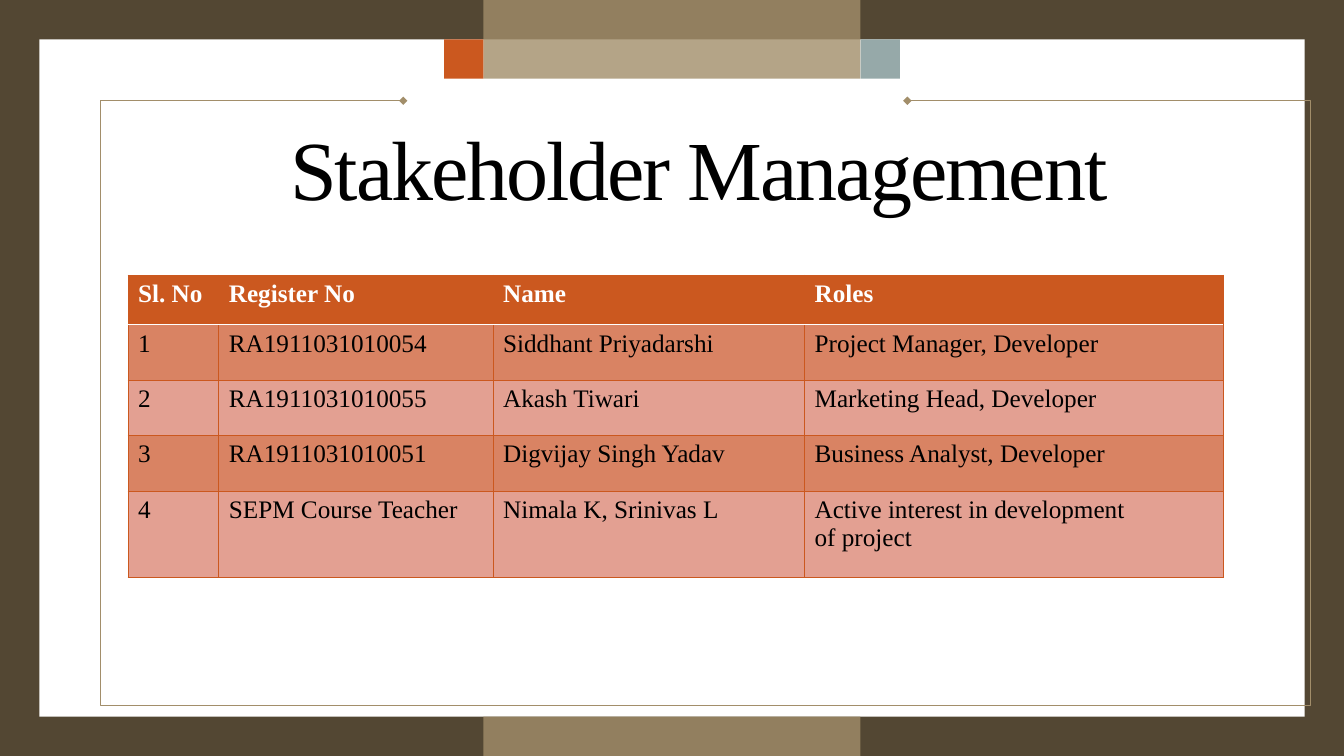
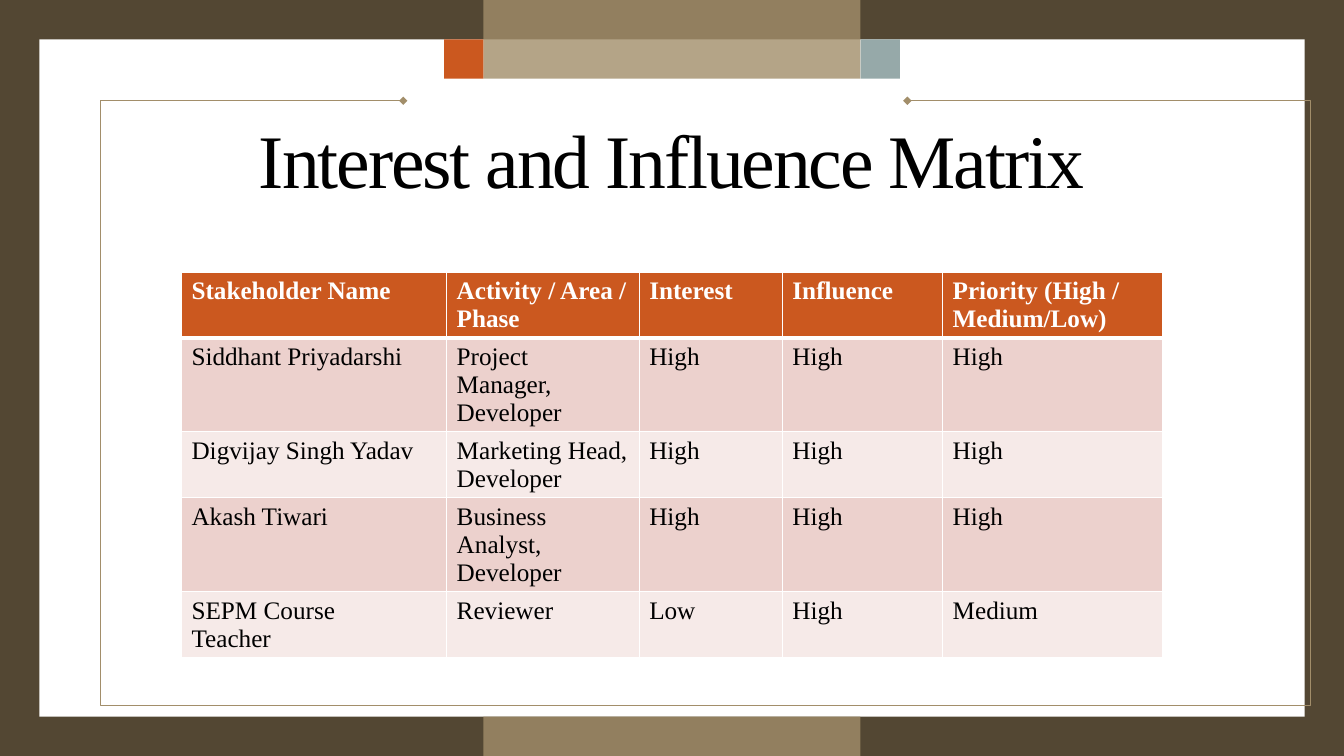
from dataclasses import dataclass

from lxml import etree
from pptx import Presentation
from pptx import util as u
from pptx.dml.color import RGBColor
from pptx.enum import shapes, text
from pptx.oxml import ns


@dataclass(frozen=True)
class Theme:
    font: str = "Times New Roman"
    text_size: float = 18
    title_spacing: int = -150
    brown: str = "534733"
    tan: str = "A28E6A"
    orange: str = "CB581F"
    sage: str = "96A9A9"
    white: str = "FFFFFF"
    black: str = "000000"


@dataclass(frozen=True)
class Box:
    left: float
    top: float
    width: float
    height: float

    @property
    def right(self):
        return self.left + self.width

    @property
    def bottom(self):
        return self.top + self.height

    def inset(self, gap):
        return Box(self.left + gap, self.top + gap, self.width - 2 * gap, self.height - 2 * gap)

    def emu(self):
        return [u.Inches(n) for n in (self.left, self.top, self.width, self.height)]


@dataclass(frozen=True)
class TableStyle:
    bands: tuple
    border: str
    border_width: float
    rule_width: float  # white rule under the header


THEME = Theme()
PAGE = Box(0, 0, 13.33, 7.5)
UNIT = 0.39  # margin and square size of the frame
BAND_WIDTH = 3.74

SOLID_BANDS = TableStyle(("D98363", "E3A092"), THEME.orange, 0.5, 1)
PALE_BANDS = TableStyle(("ECD1CD", "F6EAE8"), THEME.white, 1, 3)


def rgb(color):
    return RGBColor.from_string(color)


def set_font(para, size, color, bold=False):
    para.font.name = THEME.font
    para.font.size = u.Pt(size)
    para.font.color.rgb = rgb(color)
    para.font.bold = bold


def add_block(page, box, color, opacity=100):
    block = page.shapes.add_shape(shapes.MSO_SHAPE.RECTANGLE, *box.emu())
    block.shadow.inherit = False
    block.fill.solid()
    block.fill.fore_color.rgb = rgb(color)
    block.line.fill.background()
    if opacity < 100:
        fill_color = block.element.spPr.find(".//" + ns.qn("a:srgbClr"))
        etree.SubElement(fill_color, ns.qn("a:alpha"), val=str(opacity * 1000))
    return block


def add_outline(page, box, gap_left, gap_right):
    """Draw a thin frame, open at the top between two diamond ends."""
    builder = page.shapes.build_freeform(gap_right, box.top, scale=u.Inches(1))
    corners = [(box.right, box.top), (box.right, box.bottom), (box.left, box.bottom),
               (box.left, box.top), (gap_left, box.top)]
    builder.add_line_segments(corners, close=False)
    outline = builder.convert_to_shape()
    outline.shadow.inherit = False
    outline.fill.background()
    outline.line.color.rgb = rgb(THEME.tan)
    outline.line.width = u.Pt(1)
    line = outline.element.spPr.find(ns.qn("a:ln"))
    for end in ("a:headEnd", "a:tailEnd"):
        etree.SubElement(line, ns.qn(end), type="diamond")
    return outline


def style_master(master, page):
    """Draw the shared frame on page and move it to the master."""
    master.background.fill.solid()
    master.background.fill.fore_color.rgb = rgb(THEME.brown)
    title_style = master.element.find(".//" + ns.qn("p:titleStyle"))
    title_style.find(".//" + ns.qn("a:defRPr")).set("spc", str(THEME.title_spacing))

    paper = PAGE.inset(UNIT)
    band = Box((PAGE.width - BAND_WIDTH) / 2, 0, BAND_WIDTH, 2 * UNIT)
    frame = [
        add_block(page, paper, THEME.white),
        add_outline(page, paper.inset(UNIT), band.left - 2 * UNIT, band.right + 2 * UNIT),
        add_block(page, band, THEME.tan, 80),
        add_block(page, Box(band.left - UNIT, UNIT, UNIT, UNIT), THEME.orange),
        add_block(page, Box(band.right, UNIT, UNIT, UNIT), THEME.sage),
        add_block(page, Box(band.left, paper.bottom, BAND_WIDTH, UNIT), THEME.tan, 80),
    ]
    for position, part in enumerate(frame, start=2):
        master.shapes.element.insert(position, part.element)


def place_title(page, box, words, size):
    title = page.shapes.title
    title.left, title.top, title.width, title.height = box.emu()
    title.text_frame.text = words
    title.text_frame.auto_size = text.MSO_AUTO_SIZE.NONE
    title.text_frame.vertical_anchor = text.MSO_ANCHOR.MIDDLE
    para = title.text_frame.paragraphs[0]
    para.alignment = text.PP_ALIGN.CENTER
    para.line_spacing = 0.9
    set_font(para, size, THEME.black)


def set_borders(cell, borders):
    """Add borders given as (tag, colour, width), ahead of the cell's fill."""
    properties = cell._tc.get_or_add_tcPr()
    for position, (tag, color, width) in enumerate(borders):
        line = etree.Element(ns.qn(tag), w=str(u.Pt(width)))
        fill = etree.SubElement(line, ns.qn("a:solidFill"))
        etree.SubElement(fill, ns.qn("a:srgbClr"), val=color)
        properties.insert(position, line)


def format_cell(cell, row, words, style):
    header = row == 0
    cell.text = words
    for para in cell.text_frame.paragraphs:
        set_font(para, THEME.text_size, THEME.white if header else THEME.black, header)
    cell.fill.solid()
    cell.fill.fore_color.rgb = rgb(THEME.orange if header else style.bands[(row - 1) % 2])
    plain = (style.border, style.border_width)
    rule = (THEME.white, style.rule_width)
    set_borders(cell, [("a:lnL", *plain), ("a:lnR", *plain),
                       ("a:lnT", *(rule if row == 1 else plain)),
                       ("a:lnB", *(rule if header else plain))])


def place_table(page, left, top, widths, heights, rows, style):
    box = Box(left, top, sum(widths), sum(heights))
    table = page.shapes.add_table(len(rows), len(widths), *box.emu()).table
    for column, width in zip(table.columns, widths):
        column.width = u.Inches(width)
    for row, (height, values) in enumerate(zip(heights, rows)):
        table.rows[row].height = u.Inches(height)
        for column, words in enumerate(values):
            format_cell(table.cell(row, column), row, words, style)


def fill_stakeholders(page):
    place_title(page, Box(1.63, 1.24, 10.6, 0.96), "Stakeholder Management", 60)
    rows = [
        ("Sl. No", "Register No", "Name", "Roles"),
        ("1", "RA1911031010054", "Siddhant Priyadarshi", "Project Manager, Developer"),
        ("2", "RA1911031010055", "Akash Tiwari", "Marketing Head, Developer"),
        ("3", "RA1911031010051", "Digvijay Singh Yadav", "Business Analyst, Developer"),
        ("4", "SEPM Course Teacher", "Nimala K, Srinivas L",
         "Active interest in development\nof project"),
    ]
    place_table(page, 1.27, 2.73, (0.9, 2.72, 3.09, 4.15),
                (0.49, 0.55, 0.55, 0.55, 0.86), rows, SOLID_BANDS)


def fill_matrix(page):
    place_title(page, Box(0.53, 1.21, 12.26, 0.83), "Interest and Influence Matrix", 54)
    rows = [
        ("Stakeholder Name", "Activity / Area / Phase", "Interest", "Influence",
         "Priority (High /\nMedium/Low)"),
        ("Siddhant Priyadarshi", "Project Manager, Developer", "High", "High", "High"),
        ("Digvijay Singh Yadav", "Marketing Head, Developer", "High", "High", "High"),
        ("Akash Tiwari", "Business Analyst, Developer", "High", "High", "High"),
        ("SEPM Course\nTeacher", "Reviewer", "Low", "High", "Medium"),
    ]
    place_table(page, 1.8, 2.7, (2.63, 1.91, 1.42, 1.59, 2.18),
                (0.65, 0.65, 0.65, 0.92, 0.65), rows, PALE_BANDS)


def main():
    deck = Presentation()
    deck.slide_width, deck.slide_height = u.Inches(PAGE.width), u.Inches(PAGE.height)
    title_only = deck.slide_layouts.get_by_name("Title Only")
    pages = [deck.slides.add_slide(title_only) for _ in range(2)]
    style_master(deck.slide_master, pages[0])
    for page, fill_page in zip(pages, (fill_stakeholders, fill_matrix)):
        fill_page(page)
    deck.save("out.pptx")


if __name__ == "__main__":
    main()
